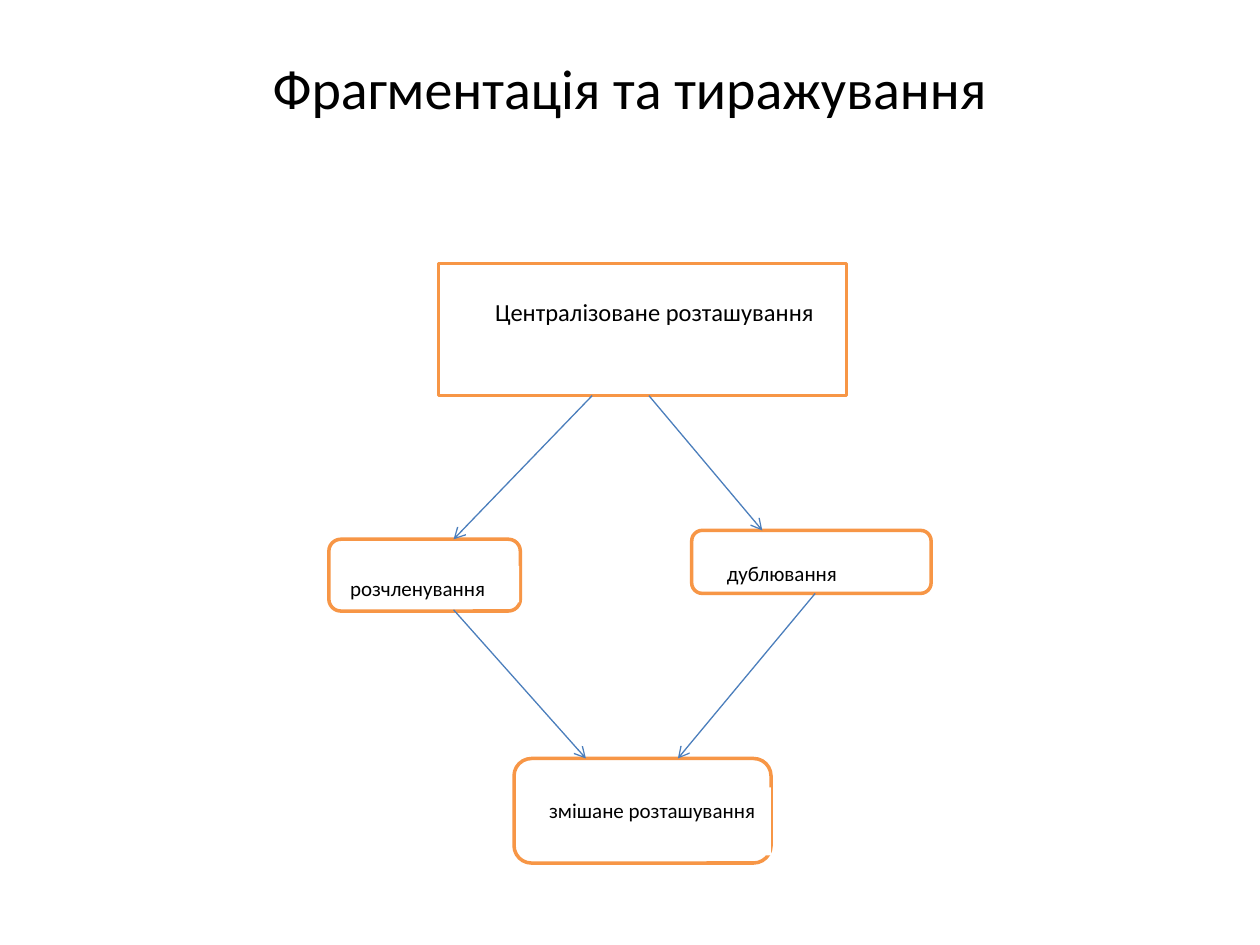
from dataclasses import dataclass

from lxml import etree
from pptx import Presentation
from pptx.dml.color import RGBColor
from pptx.enum.shapes import MSO_CONNECTOR, MSO_SHAPE
from pptx.enum.text import MSO_ANCHOR, PP_ALIGN
from pptx.oxml.ns import qn
from pptx.util import Inches, Pt

RECT, ROUND = MSO_SHAPE.RECTANGLE, MSO_SHAPE.ROUNDED_RECTANGLE
LINE = MSO_CONNECTOR.STRAIGHT
LEFT, MID = PP_ALIGN.LEFT, PP_ALIGN.CENTER
TOP, CENTER = MSO_ANCHOR.TOP, MSO_ANCHOR.MIDDLE


@dataclass(frozen=True)
class Theme:
    """Hold the colours, font and sizes of the slide."""
    font: str = "Calibri"
    ink: RGBColor = RGBColor(0, 0, 0)
    paper: RGBColor = RGBColor(255, 255, 255)
    frame: RGBColor = RGBColor(0xF7, 0x96, 0x46)
    arrow: RGBColor = RGBColor(0x4B, 0x7E, 0xBC)
    title: int = 32
    head: int = 14
    body: int = 12
    edge: float = 2
    thin: float = 0.75


THEME = Theme()

NODES = [
    (RECT, (3.48, 2.09, 3.24, 1.05), (0.24, 0.18, 2.95, 0.62),
     "Централізоване розташування", THEME.head, MID),
    (ROUND, (2.61, 4.28, 1.52, 0.57), (0.07, 0.21, 1.44, 0.29),
     "розчленування", THEME.body, LEFT),
    (ROUND, (5.49, 4.21, 1.9, 0.5), (0.18, 0.16, 1.64, 0.27),
     "дублювання", THEME.body, LEFT),
    (ROUND, (4.08, 6.02, 2.04, 0.83), (0.18, 0.23, 1.86, 0.54),
     "змішане розташування", THEME.body, LEFT),
]

ARROWS = [
    (4.7, 3.14, 3.6, 4.28),
    (5.15, 3.14, 6.05, 4.21),
    (3.6, 4.84, 4.65, 6.02),
    (6.47, 4.71, 5.38, 6.02),
]


def write(shape, text, size, align, anchor):
    """Put one styled paragraph in a shape and return it."""
    frame = shape.text_frame
    frame.text = text
    frame.word_wrap = True
    frame.vertical_anchor = anchor
    para = frame.paragraphs[0]
    para.alignment = align
    font = para.runs[0].font
    font.name, font.size = THEME.font, Pt(size)
    font.color.rgb = THEME.ink
    return para


def panel(slide, kind, box):
    """Add a plain filled shape without an outline."""
    shape = slide.shapes.add_shape(kind, *map(Inches, box))
    shape.shadow.inherit = False
    shape.fill.solid()
    shape.fill.fore_color.rgb = THEME.paper
    shape.line.fill.background()
    return shape


def title(slide, box, text):
    """Add the centred heading."""
    shape = slide.shapes.add_textbox(*map(Inches, box))
    write(shape, text, THEME.title, MID, CENTER)


def node(slide, kind, box, inner, text, size, align):
    """Add a framed box with a label set inside it."""
    frame = panel(slide, kind, box)
    frame.line.color.rgb = THEME.frame
    frame.line.width = Pt(THEME.edge)
    x, y, w, h = inner
    label = panel(slide, RECT, (box[0] + x, box[1] + y, w, h))
    para = write(label, text, size, align, TOP)
    para.line_spacing = 1.15
    para.space_after = Pt(10)


def arrow(slide, ends):
    """Add a thin line with an open head at its end."""
    link = slide.shapes.add_connector(LINE, *map(Inches, ends))
    link.line.color.rgb = THEME.arrow
    link.line.width = Pt(THEME.thin)
    stroke = link.line._get_or_add_ln()
    etree.SubElement(stroke, qn("a:tailEnd"), type="arrow")
    etree.SubElement(link._element.spPr, qn("a:effectLst"))


def main():
    """Build the slide and save it."""
    deck = Presentation()
    deck.slide_width, deck.slide_height = Inches(10), Inches(7.5)
    slide = deck.slides.add_slide(deck.slide_layouts[6])
    title(slide, (0.5, 0.3, 9, 0.78), "Фрагментація та тиражування")
    for item in NODES:
        node(slide, *item)
    for ends in ARROWS:
        arrow(slide, ends)
    deck.save("out.pptx")


main()
